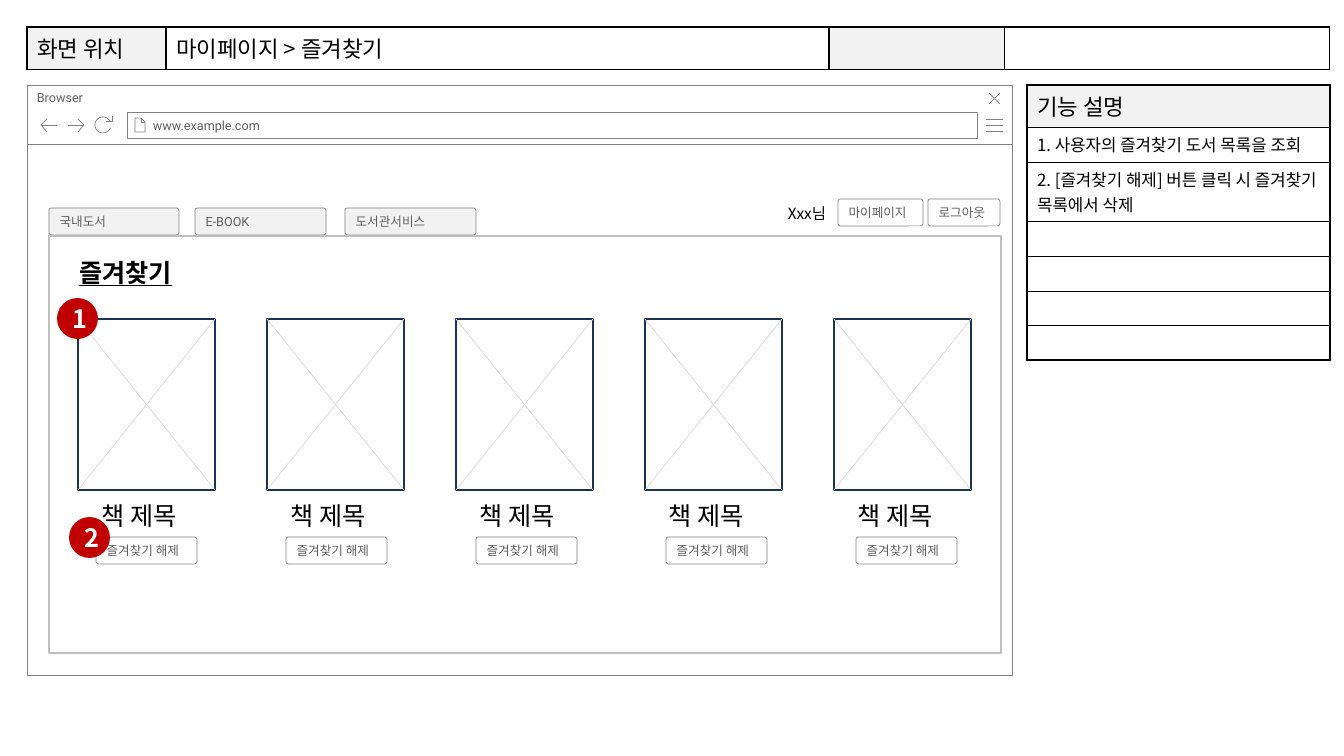
"""Build the wireframe slide for the favourites page."""
import math

import lxml.etree
import pptx
import pptx.dml.color
import pptx.enum.shapes
import pptx.enum.text
import pptx.oxml.ns
import pptx.util

RGBColor = pptx.dml.color.RGBColor
SHAPE = pptx.enum.shapes.MSO_SHAPE
ANCHOR = pptx.enum.text.MSO_ANCHOR
ALIGN = pptx.enum.text.PP_ALIGN
qn = pptx.oxml.ns.qn

BLACK = RGBColor(0x00, 0x00, 0x00)
WHITE = RGBColor(0xFF, 0xFF, 0xFF)
GRAY = RGBColor(0x80, 0x80, 0x80)
TEXT_GRAY = RGBColor(0x5F, 0x5F, 0x5F)
PALE = RGBColor(0xF2, 0xF2, 0xF2)
FRAME = RGBColor(0xBF, 0xBF, 0xBF)
CROSS = RGBColor(0xD9, 0xD9, 0xD9)
NAVY = RGBColor(0x1E, 0x32, 0x56)
RED = RGBColor(0xC0, 0x00, 0x00)

KOREAN = "Noto Sans CJK KR"
LATIN = "Roboto"
PX = 914400 / 100.8

PAGE_TITLE = "즐겨찾기"
BOOK_TITLE = "책 제목"
REMOVE_LABEL = "즐겨찾기 해제"
USER_NAME = "Xxx님"
LOCATION = [["화면 위치", "마이페이지 > 즐겨찾기", "", ""]]
LOCATION_WIDTHS = [139, 663, 176, 325]
DESCRIPTIONS = [
    ["기능 설명"],
    ["1. 사용자의 즐겨찾기 도서 목록을 조회"],
    ["2. [즐겨찾기 해제] 버튼 클릭 시 즐겨찾기 목록에서 삭제"],
    [""], [""], [""], [""],
]
DESCRIPTION_HEIGHTS = [42, 35, 58, 35, 35, 34, 35]
TABS = [("국내도서", 49, 130), ("E-BOOK", 195, 131), ("도서관서비스", 345, 131)]
ACCOUNT_BUTTONS = [("마이페이지", 838, 85), ("로그아웃", 928, 72)]
BADGES = [("1", 57, 298), ("2", 69, 517)]
BOOK_COUNT = 5
BOOK_LEFT, BOOK_TOP, BOOK_PITCH, BOOK_WIDTH, BOOK_HEIGHT = 78, 319, 189, 137, 171
REMOVE_LEFT, REMOVE_PITCH = 96, 190

REFRESH_ARC = [
    (103 + 8 * math.cos(math.radians(angle)), 125 + 8 * math.sin(math.radians(angle)))
    for angle in range(20, 331, 10)
]
ICONS = [
    [[(986, y), (1003, y)] for y in (119, 125, 131)],
    [[(1000, 93), (989, 104)], [(989, 93), (1000, 104)]],
    [[(141, 118), (141, 122), (145, 122)],
     [(135, 118), (135, 132), (145, 132), (145, 122), (141, 118), (135, 118)]],
    [[(47, 132), (41, 125), (47, 119)], [(41, 125), (57, 125)]],
    [[(78, 119), (84, 125), (78, 132)], [(84, 125), (68, 125)]],
    [[(112, 116), (112, 121), (106, 121)], REFRESH_ARC],
]


def px(*lengths):
    return [pptx.util.Emu(round(length * PX)) for length in lengths]


def write(paragraph, text, size, font=KOREAN, color=BLACK, bold=False, underline=False):
    run = paragraph.add_run()
    run.text = text
    run.font.size = pptx.util.Pt(size)
    run.font.name = font
    run.font.bold = bold
    run.font.underline = underline
    run.font.color.rgb = color
    properties = run.font._element
    east_asian = lxml.etree.Element(qn("a:ea"), typeface=KOREAN)
    properties.find(qn("a:latin")).addnext(east_asian)


def outline(shape, fill, line, width):
    shape.shadow.inherit = False
    if fill is None:
        shape.fill.background()
    else:
        shape.fill.solid()
        shape.fill.fore_color.rgb = fill
    if line is None:
        shape.line.fill.background()
    else:
        shape.line.color.rgb = line
        shape.line.width = pptx.util.Pt(width)


def add_box(shapes, kind, box, fill=WHITE, line=GRAY, width=0.5):
    shape = shapes.add_shape(kind, *px(*box))
    outline(shape, fill, line, width)
    return shape


def label(shape, text, size=9, font=LATIN, color=TEXT_GRAY, align=ALIGN.LEFT,
          anchor=ANCHOR.MIDDLE, **style):
    frame = shape.text_frame
    frame.word_wrap = True
    frame.auto_size = pptx.enum.text.MSO_AUTO_SIZE.NONE
    frame.vertical_anchor = anchor
    frame.paragraphs[0].alignment = align
    write(frame.paragraphs[0], text, size, font, color, **style)


def add_button(shapes, text, left, top, width, fill=WHITE):
    button = add_box(shapes, SHAPE.ROUNDED_RECTANGLE, (left, top, width, 27), fill)
    button.adjustments[0] = 0.09
    label(button, text)


def add_icon(shapes, strokes):
    points = [[px(*point) for point in stroke] for stroke in strokes]
    builder = shapes.build_freeform(*points[0][0])
    for index, stroke in enumerate(points):
        if index:
            builder.move_to(*stroke[0])
        builder.add_line_segments(stroke[1:], close=False)
    outline(builder.convert_to_shape(), None, GRAY, 0.5)


def add_browser(shapes):
    add_box(shapes, SHAPE.RECTANGLE, (27, 144, 985, 531))
    bar = add_box(shapes, SHAPE.RECTANGLE, (27, 85, 985, 59))
    label(bar, "Browser", anchor=ANCHOR.TOP)
    address = add_box(shapes, SHAPE.RECTANGLE, (127, 112, 850, 26))
    address.text_frame.margin_left = px(26)[0]
    label(address, "www.example.com")
    for strokes in ICONS:
        add_icon(shapes, strokes)


def add_grid(shapes, left, top, rows, widths, heights, sizes, shaded):
    box = px(left, top, sum(widths), sum(heights))
    table = shapes.add_table(len(rows), len(widths), *box).table
    table.first_row = table.horz_banding = False
    for column, width in zip(table.columns, px(*widths)):
        column.width = width
    for row, height in zip(table.rows, px(*heights)):
        row.height = height
    for i, row in enumerate(rows):
        for j, text in enumerate(row):
            cell = table.cell(i, j)
            cell.fill.solid()
            cell.fill.fore_color.rgb = PALE if (i, j) in shaded else WHITE
            paragraph = cell.text_frame.paragraphs[0]
            if text:
                write(paragraph, text, sizes[i])
            else:
                lxml.etree.SubElement(paragraph._p, qn("a:endParaRPr"), sz=str(sizes[i] * 100))
            properties = cell._tc.get_or_add_tcPr()
            for position, side in enumerate(("lnL", "lnR", "lnT", "lnB")):
                border = lxml.etree.Element(qn("a:" + side), w="12700")
                fill = lxml.etree.SubElement(border, qn("a:solidFill"))
                lxml.etree.SubElement(fill, qn("a:srgbClr"), val=str(BLACK))
                properties.insert(position, border)


def add_book(shapes, left):
    right, bottom = left + BOOK_WIDTH, BOOK_TOP + BOOK_HEIGHT
    add_box(shapes, SHAPE.RECTANGLE, (left, BOOK_TOP, BOOK_WIDTH, BOOK_HEIGHT), None, NAVY, 1)
    for start, end in ((left, right), (right, left)):
        diagonal = shapes.add_connector(
            pptx.enum.shapes.MSO_CONNECTOR.STRAIGHT, *px(start, BOOK_TOP, end, bottom))
        diagonal.line.color.rgb = CROSS
        diagonal.line.width = pptx.util.Pt(0.5)
        lxml.etree.SubElement(diagonal.element.spPr, qn("a:effectLst"))
    caption = shapes.add_textbox(*px(left + 14, bottom + 5, 110, 40))
    label(caption, BOOK_TITLE, 18, KOREAN, BLACK)


def main():
    presentation = pptx.Presentation()
    presentation.slide_width, presentation.slide_height = px(1344, 756)
    slide = presentation.slides.add_slide(presentation.slide_layouts[5])
    shapes = slide.shapes
    title = shapes.title

    add_browser(shapes.add_group_shape().shapes)
    add_grid(shapes, 1027, 85, DESCRIPTIONS, [303], DESCRIPTION_HEIGHTS,
             [16] + [12] * 6, {(0, 0)})
    add_grid(shapes, 27, 27, LOCATION, LOCATION_WIDTHS, [42], [16], {(0, 0), (0, 2)})
    for text, left, width in TABS:
        add_button(shapes, text, left, 208, width, PALE)
    add_box(shapes, SHAPE.RECTANGLE, (49, 236, 952, 417), None, FRAME, 1)
    for text, left, width in ACCOUNT_BUTTONS:
        add_button(shapes, text, left, 199, width)
    user = shapes.add_textbox(*px(778, 199, 59, 29))
    label(user, USER_NAME, 11, KOREAN, BLACK, anchor=ANCHOR.TOP)

    title.left, title.top, title.width, title.height = px(69, 252, 122, 40)
    label(title, PAGE_TITLE, 18, KOREAN, BLACK, bold=True, underline=True)
    shapes.element.append(title.element)

    for index in range(BOOK_COUNT):
        add_book(shapes.add_group_shape().shapes, BOOK_LEFT + index * BOOK_PITCH)
    for index in range(BOOK_COUNT):
        add_button(shapes, REMOVE_LABEL, REMOVE_LEFT + index * REMOVE_PITCH, 537, 101)
    for text, left, top in BADGES:
        badge = add_box(shapes, SHAPE.OVAL, (left, top, 41, 41), RED, None)
        label(badge, text, 18, KOREAN, WHITE, ALIGN.CENTER, bold=True)
    presentation.save("out.pptx")


if __name__ == "__main__":
    main()
